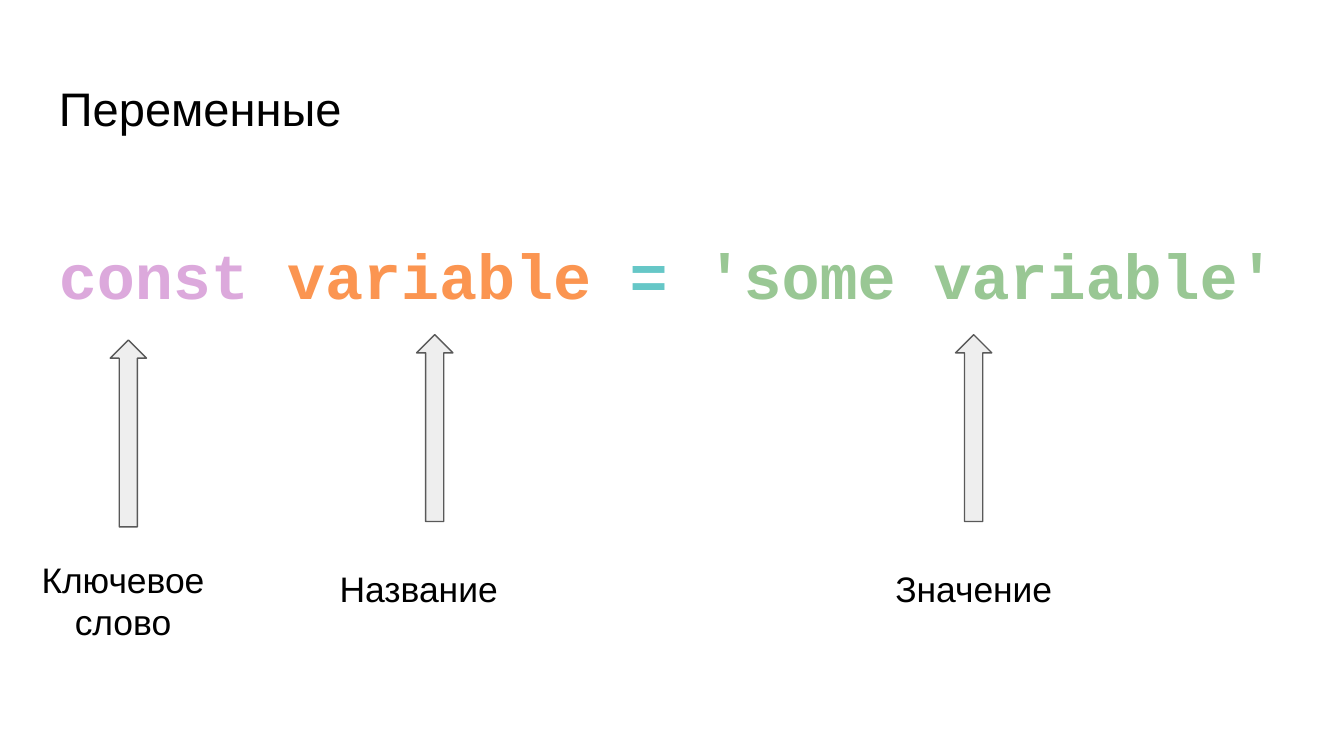
from typing import NamedTuple

from pptx import Presentation
from pptx.dml.color import RGBColor
from pptx.enum.shapes import MSO_SHAPE
from pptx.enum.text import MSO_ANCHOR, PP_ALIGN
from pptx.util import Inches, Pt

UP = MSO_SHAPE.UP_ARROW
TOP = MSO_ANCHOR.TOP
LEFT, CENTER = PP_ALIGN.LEFT, PP_ALIGN.CENTER
SANS, MONO = "Arial", "Courier New"
BLACK = "000000"
WIDTH = 10
HEIGHT = WIDTH * 9 / 16


class Box(NamedTuple):
    left: float
    top: float
    width: float
    height: float


class Piece(NamedTuple):
    text: str
    color: str = BLACK


class Style(NamedTuple):
    font: str
    size: float
    bold: bool = False
    align: PP_ALIGN = LEFT
    spacing: float = 1.0


class Note(NamedTuple):
    arrow: Box
    label: Box
    text: str


TITLE = Style(SANS, 25.2)
CODE = Style(MONO, 34, bold=True, spacing=1.15)
LABEL = Style(SANS, 19, align=CENTER)

PIECES = [
    Piece("const ", "DCA9DC"),
    Piece("variable ", "FB9551"),
    Piece("= ", "66C7C7"),
    Piece("'some variable'", "99C794"),
]

NOTES = [
    Note(Box(0.82, 2.53, 0.27, 1.39), Box(-0.08, 4.05, 1.99, 0.84), "Ключевое слово"),
    Note(Box(3.1, 2.49, 0.27, 1.39), Box(2.12, 4.12, 1.99, 0.52), "Название"),
    Note(Box(7.11, 2.49, 0.27, 1.39), Box(6.25, 4.12, 1.99, 0.52), "Значение"),
]


def rgb(code: str) -> RGBColor:
    return RGBColor.from_string(code)


def add_text(slide, box: Box, pieces: list[Piece], style: Style) -> None:
    frame = slide.shapes.add_textbox(*map(Inches, box)).text_frame
    frame.word_wrap = True
    frame.vertical_anchor = TOP
    frame.margin_left = frame.margin_right = Inches(0.1)
    frame.margin_top = frame.margin_bottom = Inches(0.1)
    line = frame.paragraphs[0]
    line.alignment = style.align
    line.line_spacing = style.spacing
    for piece in pieces:
        run = line.add_run()
        run.text = piece.text
        run.font.name = style.font
        run.font.size = Pt(style.size)
        run.font.bold = style.bold
        run.font.color.rgb = rgb(piece.color)


def add_arrow(slide, box: Box) -> None:
    arrow = slide.shapes.add_shape(UP, *map(Inches, box))
    arrow.shadow.inherit = False
    arrow.fill.solid()
    arrow.fill.fore_color.rgb = rgb("EEEEEE")
    arrow.line.color.rgb = rgb("595959")
    arrow.line.width = Pt(0.75)


def main() -> None:
    deck = Presentation()
    deck.slide_width, deck.slide_height = Inches(WIDTH), Inches(HEIGHT)
    slide = deck.slides.add_slide(deck.slide_layouts[6])

    add_text(slide, Box(0.34, 0.49, 9.32, 0.63), [Piece("Переменные")], TITLE)
    add_text(slide, Box(0.34, 1.57, 9.32, 3.74), PIECES, CODE)
    for note in NOTES:
        add_arrow(slide, note.arrow)
        add_text(slide, note.label, [Piece(note.text)], LABEL)

    deck.save("out.pptx")


if __name__ == "__main__":
    main()
